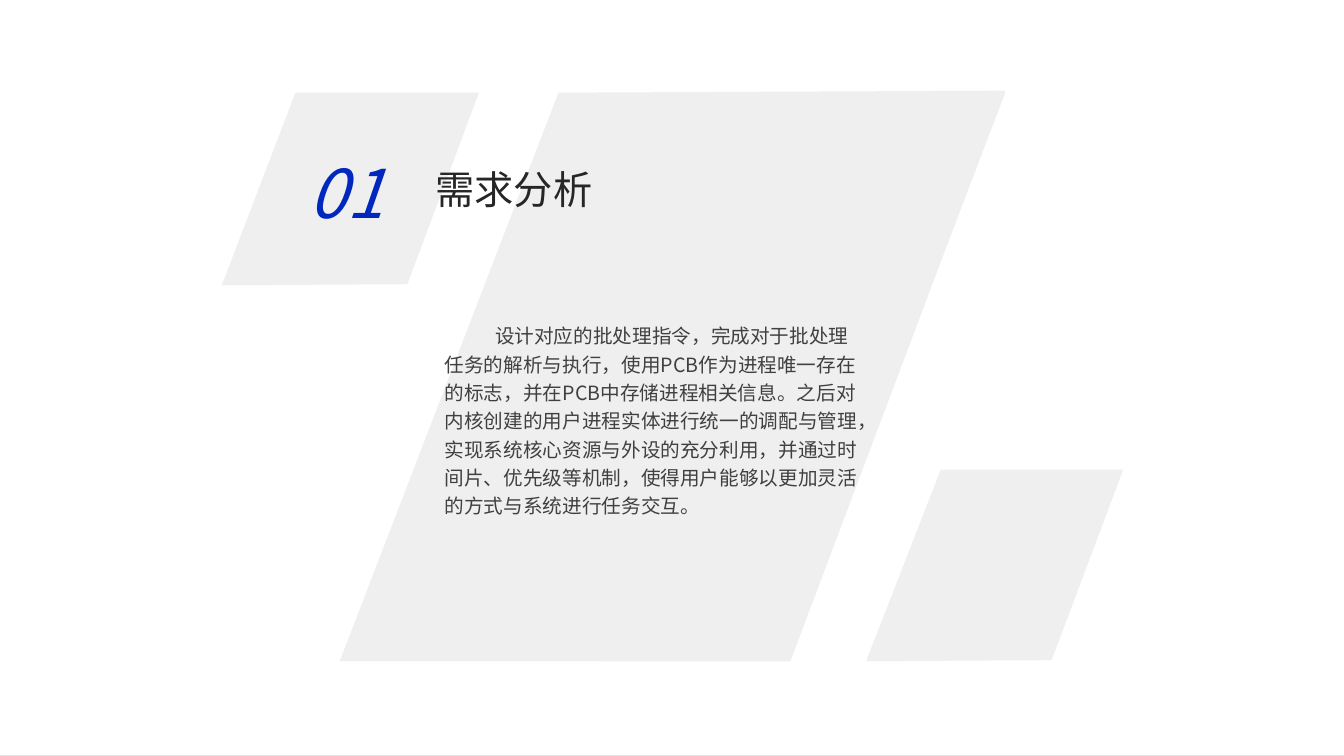
from dataclasses import dataclass

from lxml import etree
from pptx import Presentation
from pptx.dml.color import RGBColor
from pptx.enum.shapes import MSO_SHAPE
from pptx.enum.text import MSO_ANCHOR, MSO_AUTO_SIZE, PP_ALIGN
from pptx.oxml.ns import qn
from pptx.util import Inches, Pt

RECTANGLE = MSO_SHAPE.RECTANGLE
TOP = MSO_ANCHOR.TOP
NO_AUTOFIT = MSO_AUTO_SIZE.NONE
LEFT, CENTER = PP_ALIGN.LEFT, PP_ALIGN.CENTER

FONT = "Noto Sans CJK SC"
COLORS = {
    "background": "E4E4E4",
    "page": "FFFFFF",
    "panel": "EFEFEF",
    "title": "262626",
    "body": "404040",
    "number": "0028BE",
}

BODY_TEXT = (
    "设计对应的批处理指令，完成对于批处理任务的解析与执行，"
    "使用PCB作为进程唯一存在的标志，并在PCB中存储进程相关信息。"
    "之后对内核创建的用户进程实体进行统一的调配与管理，"
    "实现系统核心资源与外设的充分利用，并通过时间片、优先级等机制，"
    "使得用户能够以更加灵活的方式与系统进行任务交互。"
)


@dataclass(frozen=True)
class Panel:
    """Slanted panel, with its corners in inches."""
    corners: tuple


@dataclass(frozen=True)
class Label:
    """Text in a box (left, top, width, height in inches), sizes in points."""
    text: str
    box: tuple
    size: float
    line: float
    color: str
    align: PP_ALIGN = LEFT
    italic: bool = False
    indent: float = 0


PANELS = [
    Panel(((2.2, 2.83), (2.93, 0.92), (4.75, 0.92), (4.04, 2.82))),
    Panel(((8.59, 6.56), (9.33, 4.66), (11.14, 4.66), (10.43, 6.55))),
    Panel(((3.37, 6.56), (5.54, 0.92), (9.97, 0.9), (7.84, 6.56))),
    Panel(((5.98, 6.56), (8.16, 0.92), (9.97, 0.92), (7.81, 6.56))),
]
TITLE = Label("需求分析", (4.22, 1.5, 4.56, 0.66), 28, 40, "title")
BODY = Label(BODY_TEXT, (4.31, 3.12, 4.4, 2.08), 14, 20.2, "body", indent=0.5)
NUMBER = Label("01", (2.82, 1.4, 1.23, 0.91), 48, 61, "number", CENTER, True)


def rgb(name: str) -> RGBColor:
    return RGBColor.from_string(COLORS[name])


def paint(shape, color: str) -> None:
    shape.shadow.inherit = False
    shape.fill.solid()
    shape.fill.fore_color.rgb = rgb(color)
    shape.line.fill.background()


def add_panel(shapes, panel: Panel) -> None:
    points = [(Inches(x), Inches(y)) for x, y in panel.corners]
    builder = shapes.build_freeform(*points[0])
    builder.add_line_segments(points[1:], close=True)
    paint(builder.convert_to_shape(), "panel")


def write_label(sp, label: Label) -> None:
    sp.left, sp.top, sp.width, sp.height = map(Inches, label.box)
    tf = sp.text_frame
    tf.word_wrap = True
    tf.auto_size = NO_AUTOFIT
    tf.vertical_anchor = TOP
    p = tf.paragraphs[0]
    p.alignment = label.align
    p.line_spacing = Pt(label.line)
    p.space_before = p.space_after = Pt(0)
    pPr = p._p.get_or_add_pPr()
    pPr.set("marL", "0")
    pPr.set("indent", str(Inches(label.indent)))
    etree.SubElement(pPr, qn("a:buNone"))
    r = p.add_run()
    r.text = label.text
    r.font.size = Pt(label.size)
    r.font.italic = label.italic
    r.font.color.rgb = rgb(label.color)
    r.font.name = FONT
    etree.SubElement(r._r.get_or_add_rPr(), qn("a:ea"), typeface=FONT)


def main() -> None:
    prs = Presentation()
    prs.slide_width, prs.slide_height = Inches(13.33), Inches(7.5)
    s = prs.slides.add_slide(prs.slide_layouts[1])
    s.background.fill.solid()
    s.background.fill.fore_color.rgb = rgb("background")

    page = s.shapes.add_shape(RECTANGLE, *map(Inches, (-0.01, -0.01, 13.34, 7.5)))
    paint(page, "page")
    group = s.shapes.add_group_shape()
    for panel in PANELS:
        add_panel(group.shapes, panel)

    for sp, label in zip(list(s.placeholders), (TITLE, BODY)):
        s.shapes.element.append(sp.element)  # bring the text above the panels
        write_label(sp, label)
    write_label(s.shapes.add_textbox(0, 0, 0, 0), NUMBER)

    prs.save("out.pptx")


if __name__ == "__main__":
    main()
